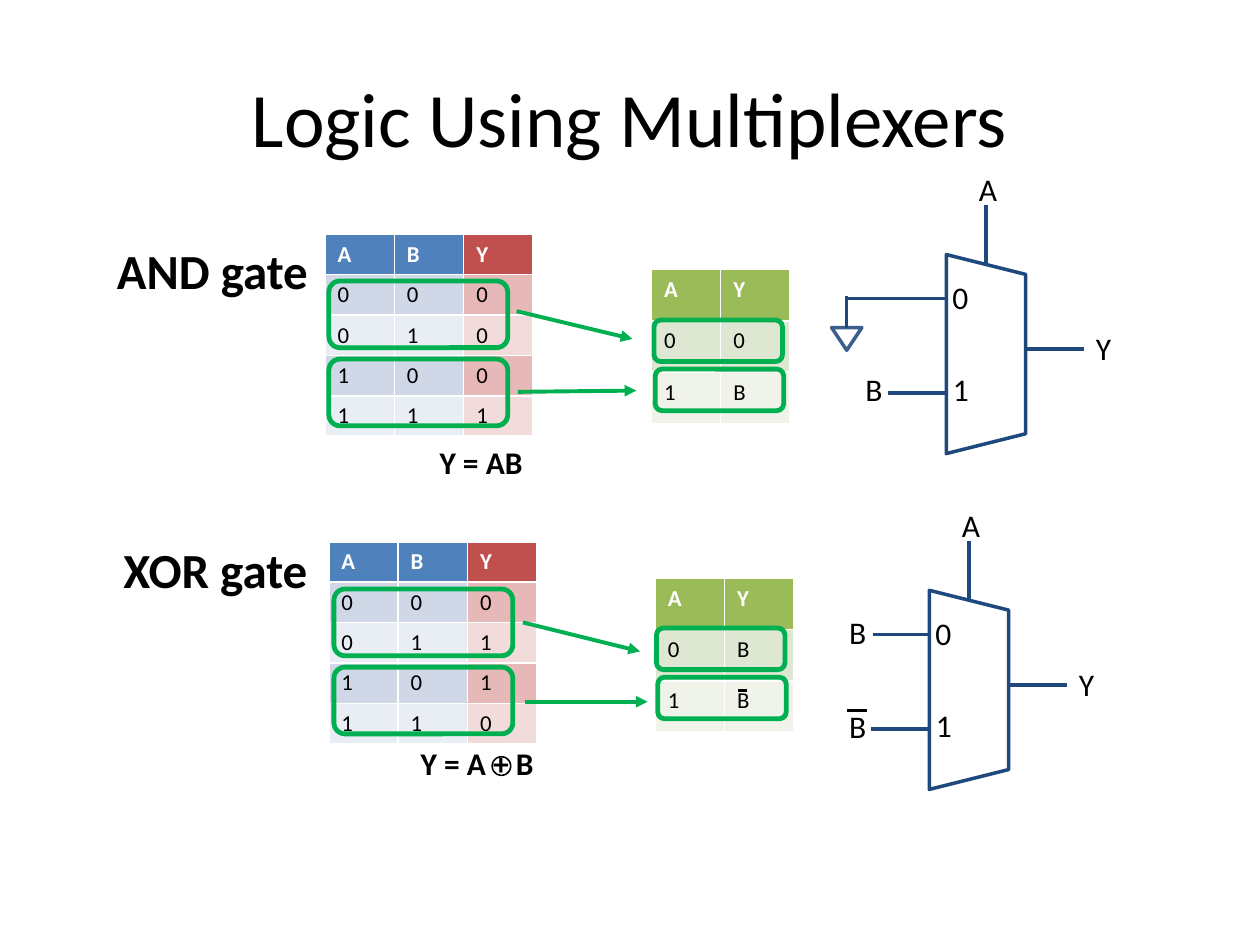
from lxml import etree
from pptx import Presentation
from pptx import util as u
from pptx.dml.color import RGBColor
from pptx.enum import shapes, text
from pptx.oxml import ns

BLACK = RGBColor(0x00, 0x00, 0x00)
WHITE = RGBColor(0xFF, 0xFF, 0xFF)
NAVY = RGBColor(0x1F, 0x49, 0x7D)
STEEL = RGBColor(0x3A, 0x5F, 0x8C)
GREEN = RGBColor(0x00, 0xB0, 0x50)
# Each palette: header, odd row, even row
BLUES = [RGBColor(0x4F, 0x81, 0xBD), RGBColor(0xD0, 0xD8, 0xE8), RGBColor(0xE9, 0xED, 0xF4)]
REDS = [RGBColor(0xC0, 0x50, 0x4D), RGBColor(0xE6, 0xB9, 0xB8), RGBColor(0xF2, 0xDC, 0xDB)]
OLIVES = [RGBColor(0x9B, 0xBB, 0x59), RGBColor(0xDE, 0xE7, 0xD1), RGBColor(0xEF, 0xF3, 0xEA)]
FONT = "Calibri"

deck = Presentation()
deck.slide_width, deck.slide_height = u.Inches(10), u.Inches(7.5)
CELL = deck.slide_width / 100  # the page is a grid of 100 columns by 75 rows


def grid(*cells):
    """Turn grid columns and rows into slide lengths."""
    return [u.Emu(round(cell * CELL)) for cell in cells]


def write(frame, words, size, color=BLACK, bold=False):
    span = frame.paragraphs[0].add_run()
    span.text = words
    span.font.name, span.font.size = FONT, u.Pt(size)
    span.font.bold, span.font.color.rgb = bold, color


page = deck.slides.add_slide(deck.slide_layouts[5])
title = page.shapes.title
title.left, title.top, title.width, title.height = grid(5, 3, 90, 12.5)
title.text_frame.vertical_anchor = text.MSO_ANCHOR.MIDDLE
write(title.text_frame, "Logic Using Multiplexers", 44)
title.text_frame.paragraphs[0].alignment = text.PP_ALIGN.CENTER

# Tables: left, top, row height, column palettes, rows
tables = [
    (25.8, 18.6, 3.17, [BLUES, BLUES, REDS], ["ABY", "000", "010", "100", "111"]),
    (26.1, 43, 3.17, [BLUES, BLUES, REDS], ["ABY", "000", "011", "101", "110"]),
    (51.7, 21.4, 4.07, [OLIVES, OLIVES], ["AY", "00", "1B"]),
    (52, 45.9, 4.07, [OLIVES, OLIVES], ["AY", "0B", "1B"]),
]
for left, top, row_height, palettes, rows in tables:
    table = page.shapes.add_table(
        len(rows), len(palettes),
        *grid(left, top, 5.5 * len(palettes), row_height * len(rows))).table
    for r, row in enumerate(rows):
        shade = 0 if r == 0 else 2 - r % 2
        for c, value in enumerate(row):
            cell = table.cell(r, c)
            cell.fill.solid()
            cell.fill.fore_color.rgb = palettes[c][shade]
            write(cell.text_frame, value, 13, BLACK if r else WHITE, bold=r == 0)

# Rounded frames pair the truth table rows with the reduced table rows
rounded = shapes.MSO_SHAPE.ROUNDED_RECTANGLE
outlines = []
for across, down in [(0, 0), (0.4, 24.45)]:
    for pair in range(2):
        outlines.append((rounded, 26.1 + across, 22.3 + down + 6.2 * pair, 14.2, 5.3, 0, GREEN, 2.75))
        outlines.append((rounded, 51.9 + across / 2 + 0.1 * pair, 25.4 + down + 3.9 * pair,
                         10.2, 3.3, 0, GREEN, 2.75))

# Lines: start column and row, end column and row, colour, width, arrowhead
lines = [
    (58.6, 54.8, 59.3, 54.8, BLACK, 1.5, False),
    (41, 24.7, 50.2, 26.9, GREEN, 2.25, True),
    (41.1, 31.1, 50.5, 31, GREEN, 2.25, True),
    (41.5, 49.4, 50.8, 51.7, GREEN, 2.25, True),
    (41.7, 55.7, 51.4, 55.7, GREEN, 2.25, True),
    (67.2, 23.5, 67.2, 26, NAVY, 2, False),
    (67.2, 56.4, 68.8, 56.4, BLACK, 1.75, False),
]
# Labels: words, left, top, width, height, size, bold
labels = [
    ("AND gate", 8.3, 18.6, 17.5, 5.7, 28, True),
    ("XOR gate", 8.8, 42.3, 17.1, 5.7, 28, True),
    ("Y = AB", 33.9, 34.7, 13.1, 4, 18, True),
    ("Y = A + B", 32.4, 58.6, 13.1, 4, 18, True),
    ("B", 67.7, 28.9, 9.4, 4, 18, False),
    ("B", 66.4, 48.2, 9.4, 4, 18, False),
    ("B", 66.4, 55.6, 9.4, 4, 18, False),
]

# Multiplexers: left and top of the body, length of the wire into input 0
for left, top, input_wire in [(75.1, 20.2, 7.9), (73.75, 46.85, 4.5)]:
    outlines.append((shapes.MSO_SHAPE.TRAPEZOID, left - 4.75, top + 4.75, 15.8, 6.3, 90, NAVY, 2))
    for x1, y1, x2, y2 in [
        (10.9, 7.5, 6.3, 7.5),
        (3.15, -3.9, 3.15, 0.75),
        (0, 11, -4.6, 11),
        (0, 3.5, -input_wire, 3.5),
    ]:
        lines.append((left + x1, top + y1, left + x2, top + y2, NAVY, 2, False))
    for words, x, y in [("Y", 10.9, 5.4), ("A", 1.6, -7.2), ("0", -0.5, 1.4), ("1", -0.45, 8.7)]:
        labels.append((words, left + x, top + y, 9.4, 4, 18, False))

ground = (shapes.MSO_SHAPE.ISOSCELES_TRIANGLE, 66, 26, 2.4, 1.8, 180, STEEL, 2)
for preset, left, top, width, height, turn, color, weight in outlines + [ground]:
    outline = page.shapes.add_shape(preset, *grid(left, top, width, height))
    outline.shadow.inherit = False
    outline.rotation = turn
    outline.fill.background()
    outline.line.color.rgb, outline.line.width = color, u.Pt(weight)

ring = page.shapes.add_shape(shapes.MSO_SHAPE.DONUT, *grid(39, 60, 1.6, 1.6))
ring.shadow.inherit = False
ring.adjustments[0] = 0.07
ring.fill.solid()
ring.fill.fore_color.rgb = BLACK
ring.line.fill.background()

for x1, y1, x2, y2, color, weight, arrow in lines:
    line = page.shapes.add_connector(shapes.MSO_CONNECTOR.STRAIGHT, *grid(x1, y1, x2, y2))
    line.line.color.rgb, line.line.width = color, u.Pt(weight)
    if arrow:
        etree.SubElement(line.line._get_or_add_ln(), ns.qn("a:tailEnd"), type="triangle")
    etree.SubElement(line._element.spPr, ns.qn("a:effectLst"))

for words, left, top, width, height, size, bold in labels:
    box = page.shapes.add_textbox(*grid(left, top, width, height))
    box.text_frame.word_wrap = size < 28
    box.text_frame.auto_size = text.MSO_AUTO_SIZE.SHAPE_TO_FIT_TEXT
    write(box.text_frame, words, size, bold=bold)

deck.save("out.pptx")
